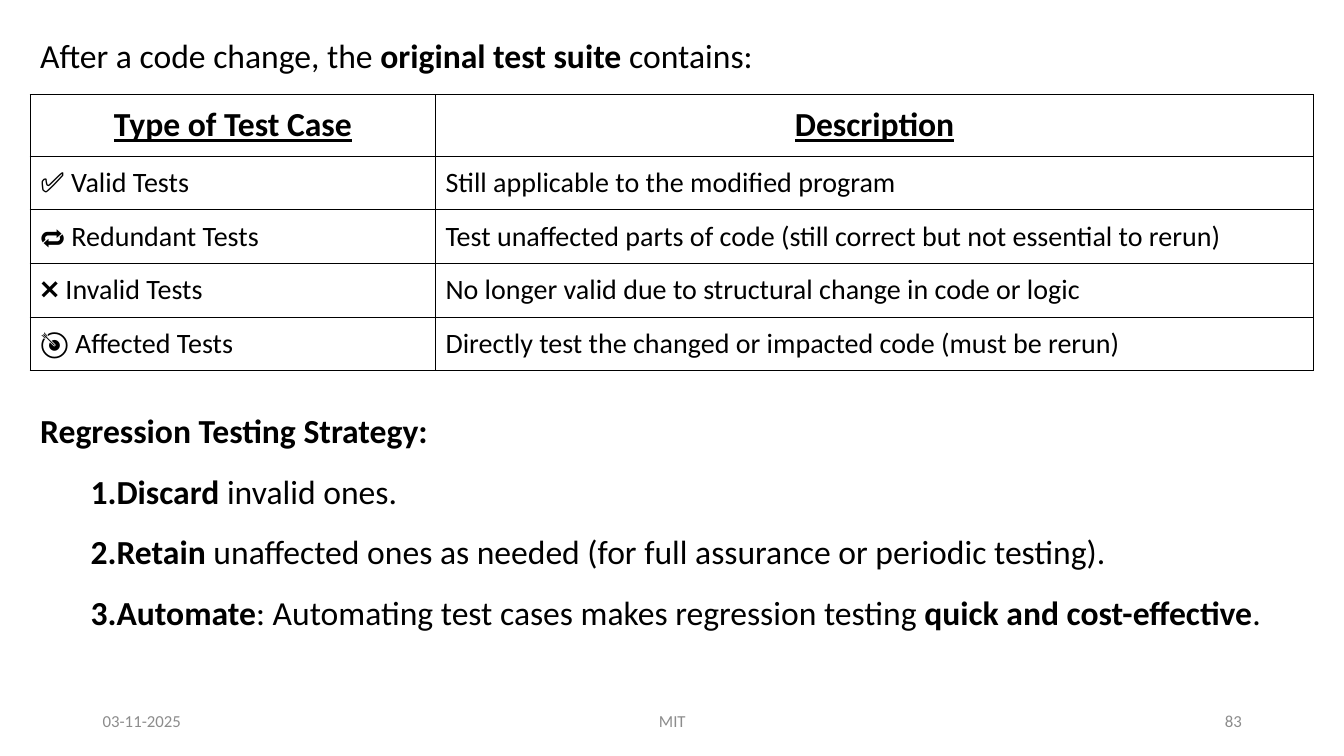
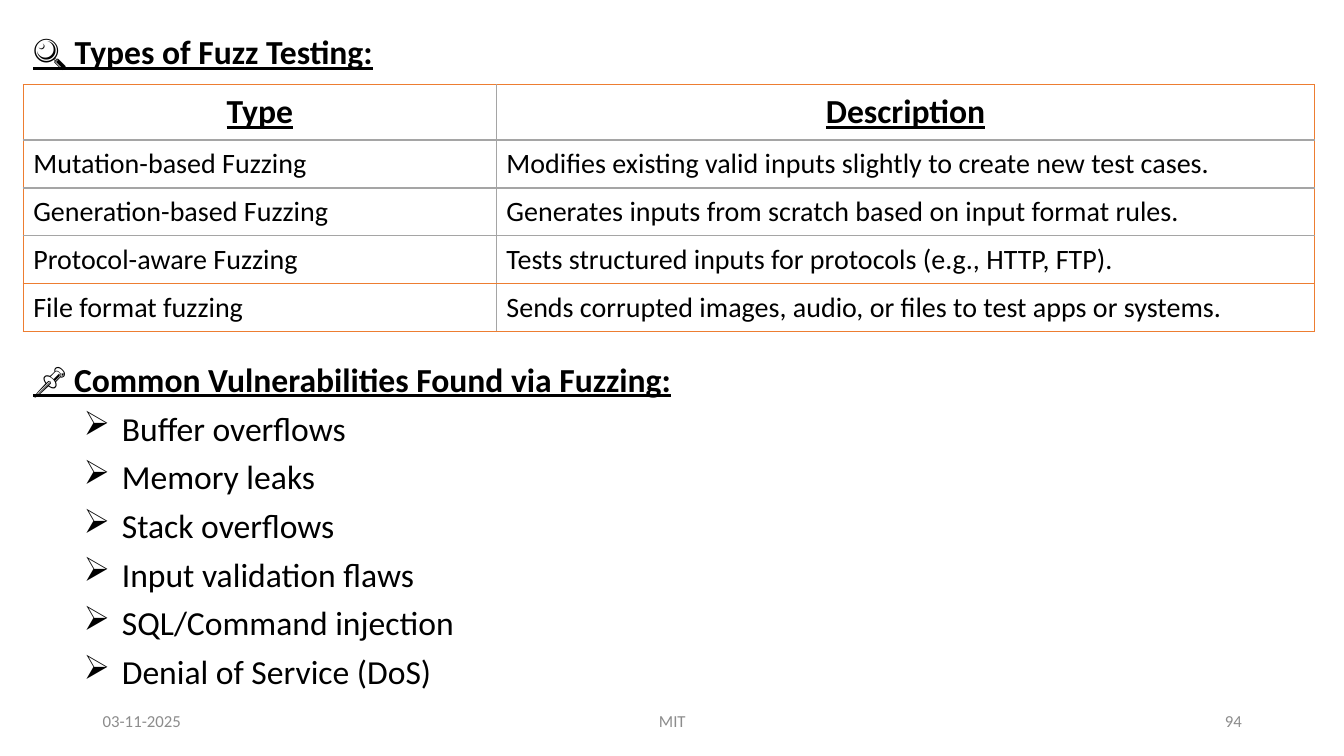
from pptx import Presentation
from pptx.dml.color import RGBColor
from pptx.enum.text import MSO_ANCHOR, MSO_AUTO_SIZE, PP_ALIGN
from pptx.oxml import parse_xml
from pptx.oxml.ns import nsdecls
from pptx.util import Emu, Inches, Pt

BLACK, GREY, MID, ORANGE = "000000", "8C8C8C", "A5A5A5", "ED7D31"
LEFT, CENTER, RIGHT, EVEN = PP_ALIGN.LEFT, PP_ALIGN.CENTER, PP_ALIGN.RIGHT, PP_ALIGN.JUSTIFY
NUMBER = '<a:buAutoNum {} type="arabicPeriod"/>'
ARROW = '<a:buChar {} char="➢"/>'


def hue(code):
    return RGBColor.from_string(code)


class Deck:
    """Holds the style and the current slide; lengths are percent of the slide."""

    font, big, mid, small = "Calibri", 24, 20, 12

    def __init__(self):
        self.prs = Presentation()
        self.prs.slide_width, self.prs.slide_height = Inches(13.33), Inches(7.5)

    def wide(self, share):
        return Emu(round(self.prs.slide_width * share / 100))

    def high(self, share):
        return Emu(round(self.prs.slide_height * share / 100))

    def area(self, x, y, w, h):
        return self.wide(x), self.high(y), self.wide(w), self.high(h)

    def page(self, number):
        self.slide = self.prs.slides.add_slide(self.prs.slide_layouts[6])
        feet = [(6.9, 22.5, "03-11-2025", LEFT), (33.15, 33.75, "MIT", CENTER),
                (70.65, 22.5, number, RIGHT)]
        for x, w, text, align in feet:
            frame = self.frame(x, 92.67, w, 5.33)
            frame.vertical_anchor = MSO_ANCHOR.MIDDLE
            self.words(frame.paragraphs[0], [(text, "")], self.small, align, GREY)

    def frame(self, x, y, w, h, wrap=True):
        frame = self.slide.shapes.add_textbox(*self.area(x, y, w, h)).text_frame
        frame.word_wrap = wrap
        return frame

    def words(self, para, runs, size, align=LEFT, color=BLACK):
        para.alignment = align
        for text, style in runs:
            run = para.add_run()
            run.text = text
            font = run.font
            font.name, font.size = self.font, Pt(size)
            font.bold, font.underline = "b" in style, "u" in style
            font.color.rgb = hue(color)

    def title(self, x, y, w, runs, align=LEFT):
        frame = self.frame(x, y, w, 6.67, wrap=False)
        frame.auto_size = MSO_AUTO_SIZE.SHAPE_TO_FIT_TEXT
        self.words(frame.paragraphs[0], runs, self.big, align)

    def points(self, box, head, items, mark, left, hang=0, line=None, gap=None):
        frame = self.frame(*box)
        frame.auto_size = MSO_AUTO_SIZE.SHAPE_TO_FIT_TEXT
        first = frame.paragraphs[0]
        first.line_spacing = line
        self.words(first, [head], self.big, EVEN)
        for runs in items:
            para = frame.add_paragraph()
            para.level = 1
            props = para._p.get_or_add_pPr()
            props.set("marL", str(self.wide(left)))
            props.set("indent", str(-self.wide(hang)))
            props.append(parse_xml(mark.format(nsdecls("a"))))
            para.line_spacing = line
            para.space_before = gap
            self.words(para, runs, self.big, EVEN)

    def border(self, cell, sides):
        props = cell._tc.get_or_add_tcPr()
        for at, (side, color) in enumerate(sides.items()):
            props.insert(at, parse_xml(
                f'<a:ln{side} {nsdecls("a")} w="{Pt(1)}"><a:solidFill>'
                f'<a:srgbClr val="{color}"/></a:solidFill></a:ln{side}>'))

    def table(self, x, y, cols, top, step, rows, edge, inner):
        last, end = len(rows) - 1, len(cols) - 1
        box = self.area(x, y, sum(cols), top + step * last)
        table = self.slide.shapes.add_table(len(rows), len(cols), *box).table
        table.first_row = table.horz_banding = False
        for col, width in zip(table.columns, cols):
            col.width = self.wide(width)
        for r, row in enumerate(rows):
            table.rows[r].height = self.high(step if r else top)
            for c, text in enumerate(row):
                cell = table.cell(r, c)
                cell.fill.background()
                cell.vertical_anchor = MSO_ANCHOR.MIDDLE
                outer = {"L": c == 0, "R": c == end,
                         "T": r in (0, last), "B": r >= last - 1}
                self.border(cell, {s: edge if o else inner for s, o in outer.items()})
                para = cell.text_frame.paragraphs[0]
                if r:
                    self.words(para, [(text, "")], self.mid)
                else:
                    self.words(para, [(text, "bu")], self.big, CENTER)


def suite(deck):
    deck.page("83")
    deck.title(2.25, 4, 55.06, [("After a code change, the ", ""),
                                ("original test suite", "b"), (" contains:", "")])
    deck.table(2.25, 12.53, [30.15, 65.35], 8.13, 7.1, [
        ("Type of Test Case", "Description"),
        ("✅ Valid Tests", "Still applicable to the modified program"),
        ("🔁 Redundant Tests",
         "Test unaffected parts of code (still correct but not essential to rerun)"),
        ("❌ Invalid Tests", "No longer valid due to structural change in code or logic"),
        ("🎯 Affected Tests", "Directly test the changed or impacted code (must be rerun)"),
    ], BLACK, BLACK)
    deck.points((2.25, 50.93, 95.5, 32.8), ("Regression Testing Strategy:", "b"), [
        [("Discard", "b"), (" invalid ones.", "")],
        [("Retain", "b"),
         (" unaffected ones as needed (for full assurance or periodic testing).", "")],
        [("Automate", "b"), (": Automating test cases makes regression testing ", ""),
         ("quick and cost-effective", "b"), (".", "")],
    ], NUMBER, 3.75, line=1.5)


def fuzz(deck):
    deck.page("94")
    deck.title(1.73, 3.47, 27, [("🔍 Types of Fuzz Testing:", "bu")], EVEN)
    deck.table(1.73, 11.2, [35.2, 60.9], 7.33, 6.33, [
        ("Type", "Description"),
        ("Mutation-based Fuzzing",
         "Modifies existing valid inputs slightly to create new test cases."),
        ("Generation-based Fuzzing",
         "Generates inputs from scratch based on input format rules."),
        ("Protocol-aware Fuzzing", "Tests structured inputs for protocols (e.g., HTTP, FTP)."),
        ("File format fuzzing",
         "Sends corrupted images, audio, or files to test apps or systems."),
    ], ORANGE, MID)
    flaws = ["Buffer overflows", "Memory leaks", "Stack overflows",
             "Input validation flaws", "SQL/Command injection", "Denial of Service (DoS)"]
    deck.points((1.73, 46.8, 96.1, 45.73),
                ("📌 Common Vulnerabilities Found via Fuzzing:", "bu"),
                [[(flaw, "")] for flaw in flaws], ARROW, 6.6, hang=2.85, gap=Pt(6))


def main():
    deck = Deck()
    suite(deck)
    fuzz(deck)
    deck.prs.save("out.pptx")


if __name__ == "__main__":
    main()
